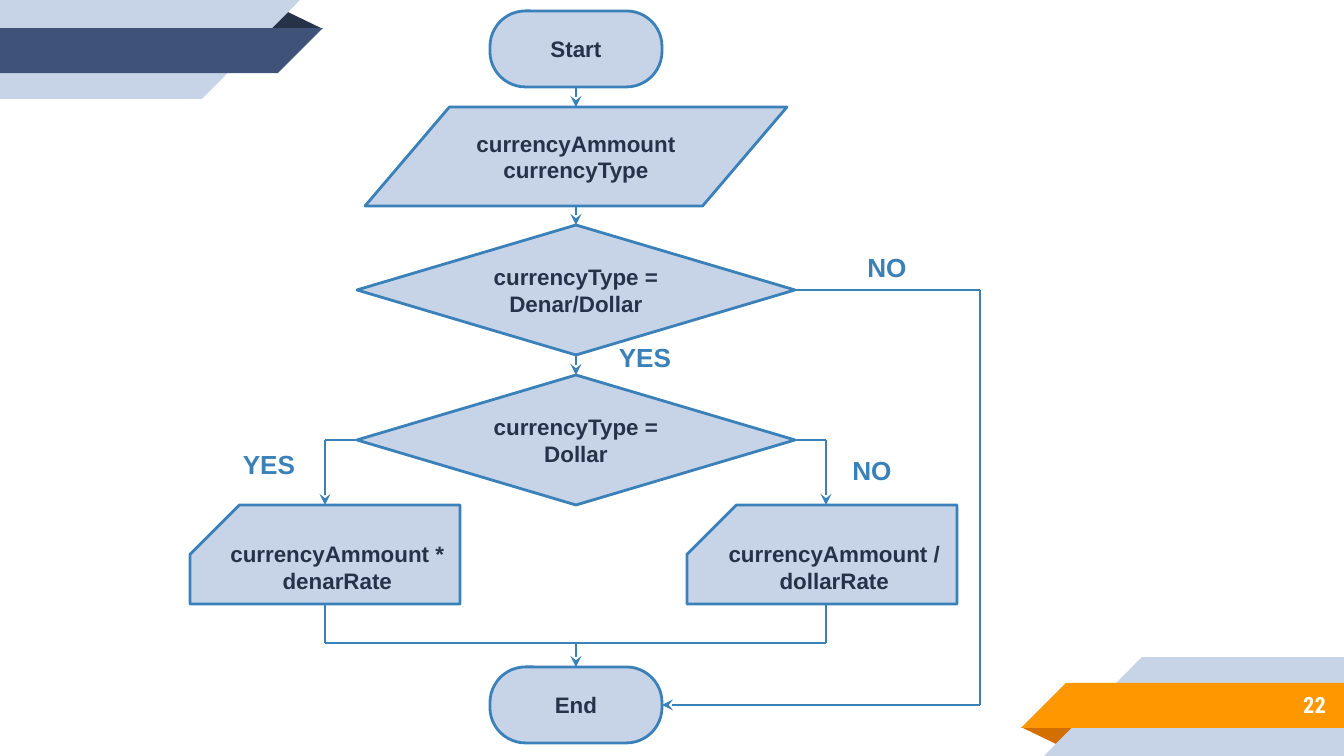
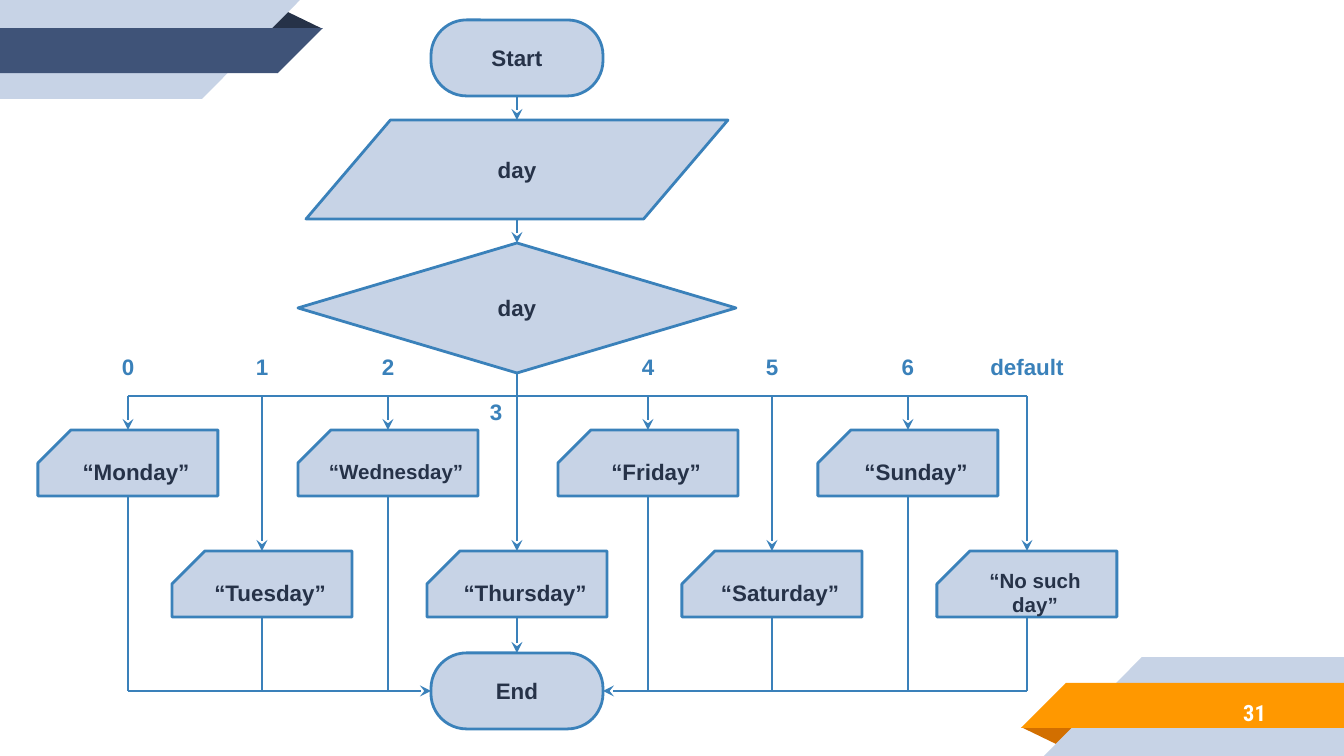
from pptx import Presentation
from pptx.dml.color import RGBColor
from pptx.enum.shapes import MSO_CONNECTOR, MSO_SHAPE as Kind
from pptx.enum.text import MSO_ANCHOR as Anchor, PP_ALIGN as Align
from pptx.oxml.ns import qn
from pptx.util import Emu, Pt
from lxml.etree import SubElement

PX = 914400 / 134.4
WIDE, HIGH = 1344, 756
PALE, BLUE, DARK, NAVY = "C7D3E6", "3A81BA", "263248", "3F5378"
GOLD, RUST, WHITE = "FF9800", "D26F00", "FFFFFF"
PILL, INPUT = Kind.ROUNDED_RECTANGLE, Kind.FLOWCHART_DATA
TEST, CARD = Kind.FLOWCHART_DECISION, Kind.SNIP_1_RECTANGLE
SIZES = {PILL: (172, 76), INPUT: (422, 99), TEST: (438, 130), CARD: (270, 99)}
TOP, LEFT, BOTTOM, RIGHT = range(4)


def px(*vals):
    return [Emu(round(v * PX)) for v in vals]


def color(code):
    return RGBColor.from_string(code)


def write(shape, text, size, ink, font="Arial", align=Align.CENTER, anchor=Anchor.MIDDLE):
    frame = shape.text_frame
    frame.text = text
    frame.word_wrap = True
    frame.vertical_anchor = anchor
    frame.margin_left = frame.margin_right = Pt(7.2)
    frame.margin_top = frame.margin_bottom = Pt(7.2)
    for para in frame.paragraphs:
        para.alignment = align
        para.font.name, para.font.size, para.font.bold = font, Pt(size), True
        para.font.color.rgb = color(ink)


def draw(slide, kind, box, fill, flip=False):
    shape = slide.shapes.add_shape(kind, *px(*box))
    shape.shadow.inherit = False
    shape.fill.solid()
    shape.fill.fore_color.rgb = color(fill)
    shape.line.fill.background()
    if flip:
        shape.element.spPr.find(qn("a:xfrm")).set("flipH", "1")
    return shape


def ribbon(slide, left, top, band, fold, turned):
    """Folded corner band, for the lower right or turned for the upper left."""
    wide, high = 323, 99
    parts = [
        (Kind.ISOSCELES_TRIANGLE, (0, 70, 58, 19), fold),
        (Kind.RECTANGLE, (121, 0, 202, 99), PALE),
        (Kind.RIGHT_TRIANGLE, (23, 0, 98, 99), PALE),
        (Kind.RECTANGLE, (45, 26, 278, 45), band),
        (Kind.RIGHT_TRIANGLE, (0, 26, 45, 45), band),
    ]
    for kind, (x, y, w, h), fill in parts:
        peak = kind == Kind.ISOSCELES_TRIANGLE
        if turned:
            x, y = wide - x - w, high - y - h
        shape = draw(slide, kind, (left + x, top + y, w, h), fill, not peak)
        shape.rotation = 180 if turned != peak else 0
        if peak:
            shape.adjustments[0] = 0.324


def base(deck, page, left, top):
    """Add a slide with both ribbons and its page number."""
    slide = deck.slides.add_slide(deck.slide_layouts[6])
    ribbon(slide, WIDE - 323, HIGH - 99, GOLD, RUST, False)
    ribbon(slide, 0, 0, NAVY, DARK, True)
    box = slide.shapes.add_textbox(*px(left, top, 219, 47))
    write(box, page, 12, WHITE, "Roboto Condensed", Align.RIGHT)
    return slide


def node(slide, kind, text, mid, top, size=12, dims=None):
    """Place a flowchart shape centred on mid."""
    w, h = dims or SIZES[kind]
    shape = draw(slide, kind, (mid - w // 2, top, w, h), PALE, kind == CARD)
    shape.line.color.rgb = color(BLUE)
    shape.line.width = Pt(1.5)
    if kind in (PILL, CARD):
        shape.adjustments[0] = 0.467 if kind == PILL else 0.5
    write(shape, text, size, DARK)
    return shape


def spot(end):
    """Point of an end, given as (x, y) in px or as (shape, side)."""
    item, side = end
    if isinstance(item, int):
        return px(item, side)
    dx, dy = [(1, 0), (0, 1), (1, 2), (2, 1)][side]
    return item.left + item.width * dx // 2, item.top + item.height * dy // 2


def joins(end):
    return not isinstance(end[0], int) and end[0].auto_shape_type in (PILL, TEST)


def link(slide, start, stop, tip=False):
    line = slide.shapes.add_connector(MSO_CONNECTOR.STRAIGHT, *spot(start), *spot(stop))
    if joins(start):
        line.begin_connect(*start)
    if joins(stop):
        line.end_connect(*stop)
    line.line.color.rgb = color(BLUE)
    line.line.width = Pt(1.5)
    if tip:
        SubElement(line.line._get_or_add_ln(), qn("a:tailEnd"), type="stealth")
    SubElement(line.element.spPr, qn("a:effectLst"))


def trail(slide, *ends, tip=False):
    """Link ends in turn, with the arrowhead on the last link."""
    for i in range(1, len(ends)):
        link(slide, ends[i - 1], ends[i], tip and i == len(ends) - 1)


def stack(slide, *nodes):
    for upper, lower in zip(nodes, nodes[1:]):
        link(slide, (upper, BOTTOM), (lower, TOP), True)


def label(slide, text, mid, top, size, w, h):
    box = slide.shapes.add_textbox(*px(mid - w // 2, top, w, h))
    write(box, text, size, BLUE, anchor=Anchor.TOP)


def rates(deck):
    slide = base(deck, "22", 1120, 681)
    mid, west, east, far, bus = 576, 325, 826, 980, 643
    start = node(slide, PILL, "Start", mid, 11)
    end = node(slide, PILL, "End", mid, 667)
    data = node(slide, INPUT, "currencyAmmount\ncurrencyType", mid, 107)
    known = node(slide, TEST, "currencyType = Denar/Dollar", mid, 225)
    dollar = node(slide, TEST, "currencyType = Dollar", mid, 375)
    node(slide, CARD, "currencyAmmount * denarRate", west, 505)
    node(slide, CARD, "currencyAmmount / dollarRate", 822, 505)
    stack(slide, start, data, known, dollar)
    trail(slide, (known, RIGHT), (far, 290), (far, 705), (end, RIGHT), tip=True)
    for side, x in ((LEFT, west), (RIGHT, east)):
        trail(slide, (dollar, side), (x, 440), (x, 505), tip=True)
        link(slide, (x, 604), (x, bus))
    link(slide, (west, bus), (east, bus))
    link(slide, (mid, bus), (end, TOP), True)
    for text, x, y in (("NO", 887, 238), ("NO", 872, 441), ("YES", 645, 328), ("YES", 269, 435)):
        label(slide, text, x, y, 14, 116, 75)


def days(deck):
    slide = base(deck, "31", 1060, 689)
    mid, bus, floor = 517, 396, 691
    start = node(slide, PILL, "Start", mid, 20)
    end = node(slide, PILL, "End", mid, 653)
    data = node(slide, INPUT, "day", mid, 120)
    test = node(slide, TEST, "day", mid, 243)
    stack(slide, start, data, test)
    names = ["Monday", "Tuesday", "Wednesday", "Thursday", "Friday", "Saturday", "Sunday",
             "No such day"]
    mids = [262 + 255 * (i // 2) if i % 2 else 128 + 130 * i for i in range(8)]
    for i, (name, x) in enumerate(zip(names, mids)):
        size = 11 if len(name) > 8 and name != "Thursday" else 12
        card = node(slide, CARD, f"“{name}”", x, 551 if i % 2 else 430, size, (180, 66))
        if x == mid:
            stack(slide, test, card, end)
            label(slide, str(i), 496, 385, 12, 86, 55)
            continue
        link(slide, (x, bus), (card, TOP), True)
        link(slide, (card, BOTTOM), (x, floor))
        text, w = ("default", 126) if i == 7 else (str(i), 86)
        label(slide, text, x, 340, 12, w, 55)
    link(slide, (mids[0], bus), (mids[-1], bus))
    link(slide, (mids[0], floor), (end, LEFT), True)
    link(slide, (mids[-1], floor), (end, RIGHT), True)


def main():
    deck = Presentation()
    deck.slide_width, deck.slide_height = px(WIDE, HIGH)
    rates(deck)
    days(deck)
    deck.save("out.pptx")


if __name__ == "__main__":
    main()
